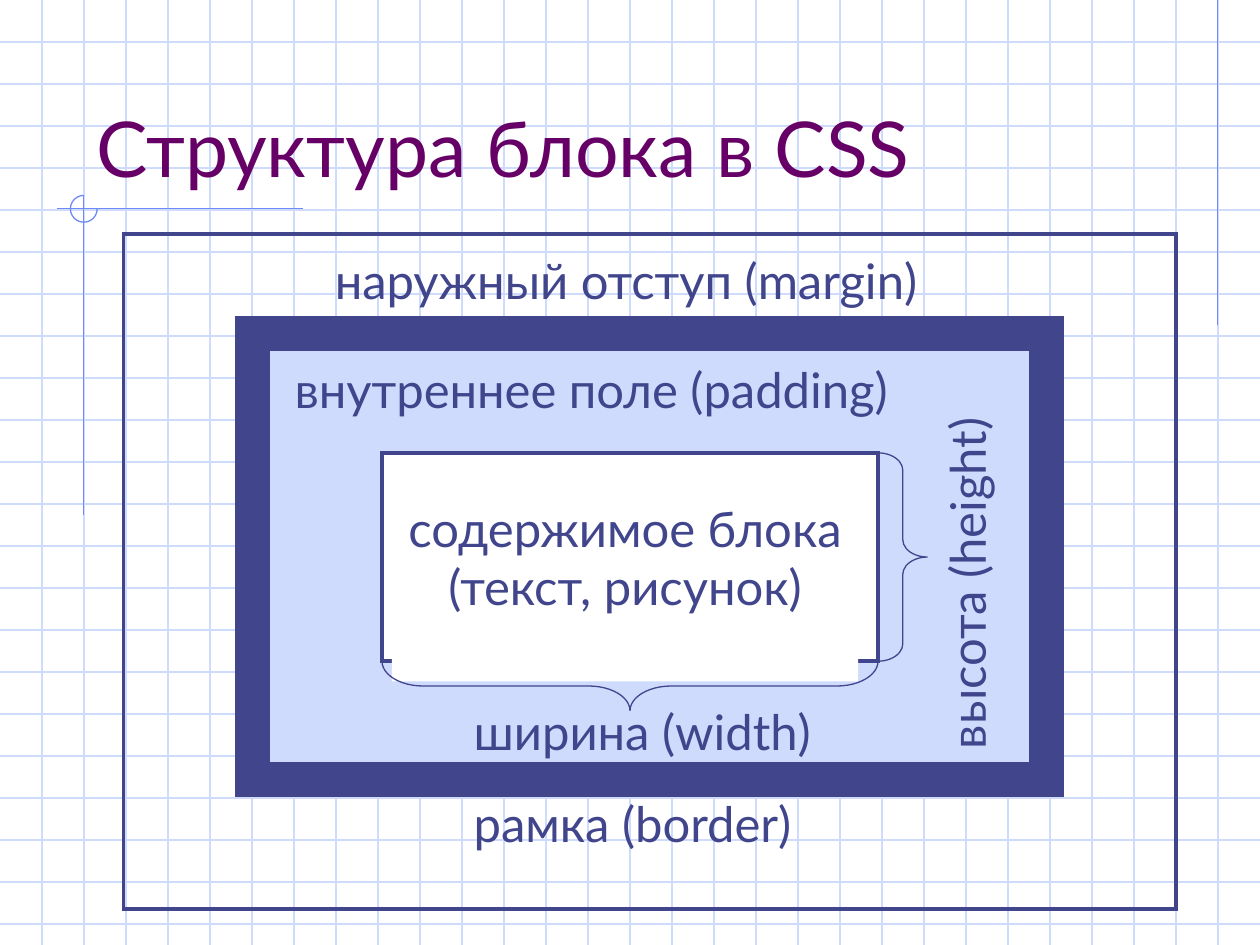
from dataclasses import dataclass

from lxml.etree import SubElement
from pptx import Presentation
from pptx.dml.color import RGBColor
from pptx.enum.shapes import MSO_CONNECTOR, MSO_SHAPE
from pptx.enum.text import MSO_ANCHOR, MSO_AUTO_SIZE, PP_ALIGN
from pptx.oxml.ns import qn
from pptx.util import Cm, Pt


@dataclass(frozen=True)
class Theme:
    font: str = "Lato"
    title: RGBColor = RGBColor(0x66, 0x00, 0x66)
    ink: RGBColor = RGBColor(0x40, 0x45, 0x8C)
    pale: RGBColor = RGBColor(0xCF, 0xDB, 0xFD)
    accent: RGBColor = RGBColor(0x6F, 0x89, 0xF7)
    white: RGBColor = RGBColor(0xFF, 0xFF, 0xFF)
    title_size: int = 44
    label_size: int = 28
    hairline: float = 0.75
    outline: float = 2.25
    border: float = 20


class BoxModelSlide:
    """Draws the elements of one slide in a shared style."""

    def __init__(self, slide, theme):
        self.slide = slide
        self.theme = theme

    def line(self, x1, y1, x2, y2, color):
        rule = self.slide.shapes.add_connector(
            MSO_CONNECTOR.STRAIGHT, Cm(x1), Cm(y1), Cm(x2), Cm(y2))
        rule.line.color.rgb = color
        rule.line.width = Pt(self.theme.hairline)
        SubElement(rule.element.spPr, qn("a:effectLst"))

    def grid(self, width, height, step):
        for row in range(1, int(height / step) + 1):
            self.line(0, row * step, width, row * step, self.theme.pale)
        for column in range(1, round(width / step)):
            self.line(column * step, 0, column * step, height, self.theme.pale)

    def shape(self, kind, left, top, width, height, fill=None, color=None,
              weight=0, adjustments=(), rotation=0):
        figure = self.slide.shapes.add_shape(
            kind, Cm(left), Cm(top), Cm(width), Cm(height))
        figure.shadow.inherit = False
        figure.rotation = rotation
        for index, value in enumerate(adjustments):
            figure.adjustments[index] = value
        if fill is None:
            figure.fill.background()
        else:
            figure.fill.solid()
            figure.fill.fore_color.rgb = fill
        if color is None:
            figure.line.fill.background()
        else:
            figure.line.color.rgb = color
            figure.line.width = Pt(weight)
            SubElement(figure.element.spPr.find(qn("a:ln")), qn("a:miter"), lim="800000")
        return figure

    def add_text(self, frame, lines, size, color, align=PP_ALIGN.LEFT,
                 anchor=MSO_ANCHOR.TOP):
        frame.word_wrap = True
        frame.auto_size = MSO_AUTO_SIZE.NONE
        frame.vertical_anchor = anchor
        for index, line in enumerate(lines):
            paragraph = frame.add_paragraph() if index else frame.paragraphs[0]
            paragraph.alignment = align
            run = paragraph.add_run()
            run.text = line
            run.font.name = self.theme.font
            run.font.size = Pt(size)
            run.font.color.rgb = color

    def title(self, text, left, top, width, height):
        heading = self.slide.shapes.title
        heading.left, heading.top = Cm(left), Cm(top)
        heading.width, heading.height = Cm(width), Cm(height)
        heading.element.getparent().append(heading.element)
        self.add_text(heading.text_frame, [text], self.theme.title_size,
                      self.theme.title, anchor=MSO_ANCHOR.BOTTOM)

    def label(self, text, left, top, width, height=1.45, rotation=0):
        caption = self.slide.shapes.add_textbox(
            Cm(left), Cm(top), Cm(width), Cm(height))
        caption.rotation = rotation
        self.add_text(caption.text_frame, [text], self.theme.label_size, self.theme.ink)

    def content(self, lines, left, top, width, height, top_inset):
        panel = self.shape(MSO_SHAPE.RECTANGLE, left, top, width, height,
                           fill=self.theme.white)
        panel.text_frame.margin_top = Cm(top_inset)
        self.add_text(panel.text_frame, lines, self.theme.label_size,
                      self.theme.ink, PP_ALIGN.CENTER)

    def brace(self, left, top, width, height, curve, rotation=0):
        self.shape(MSO_SHAPE.RIGHT_BRACE, left, top, width, height,
                   color=self.theme.ink, weight=self.theme.hairline,
                   adjustments=(curve, 0.5), rotation=rotation)


def main():
    theme = Theme()
    width, height = 25.4, 19.05
    presentation = Presentation()
    presentation.slide_width, presentation.slide_height = Cm(width), Cm(height)
    page = BoxModelSlide(
        presentation.slides.add_slide(presentation.slide_layouts[5]), theme)

    page.grid(width, height, width / 30)
    for rule in ((24.55, 0, 24.55, 6.55), (1.14, 4.21, 6.1, 4.21),
                 (1.69, 3.94, 1.69, 10.39)):
        page.line(*rule, theme.accent)
    page.shape(MSO_SHAPE.ARC, 1.42, 3.94, 0.54, 0.54, color=theme.accent,
               weight=theme.hairline, adjustments=(0, 162))
    page.title("Структура блока в CSS", 1.69, 0.85, 21.59, 3.17)

    for box, fill, weight in (
            ((2.49, 4.72, 21.21, 13.61), None, theme.outline),
            ((5.09, 6.73, 16, 8.99), theme.pale, theme.border),
            ((7.7, 9.13, 10, 4.2), theme.white, theme.outline)):
        page.shape(MSO_SHAPE.RECTANGLE, *box, fill=fill, color=theme.ink, weight=weight)
    page.content(["содержимое блока", "(текст, рисунок)"],
                 7.9, 9.32, 9.4, 4.42, top_inset=0.72)

    page.brace(17.7, 9.13, 1, 4.2, curve=0.35)
    page.brace(12.2, 8.83, 1, 10, curve=0.83, rotation=90)
    page.label("высота (height)", 15.6, 10.74, 7.77, rotation=270)
    page.label("ширина (width)", 9.3, 14.02, 7.8, 2.64)
    page.label("рамка (border)", 9.3, 15.88, 7.8)
    page.label("внутреннее поле (padding)", 5.69, 7.13, 13, 2.64)
    page.label("наружный отступ (margin)", 6.5, 4.93, 13.2)
    presentation.save("out.pptx")


if __name__ == "__main__":
    main()
